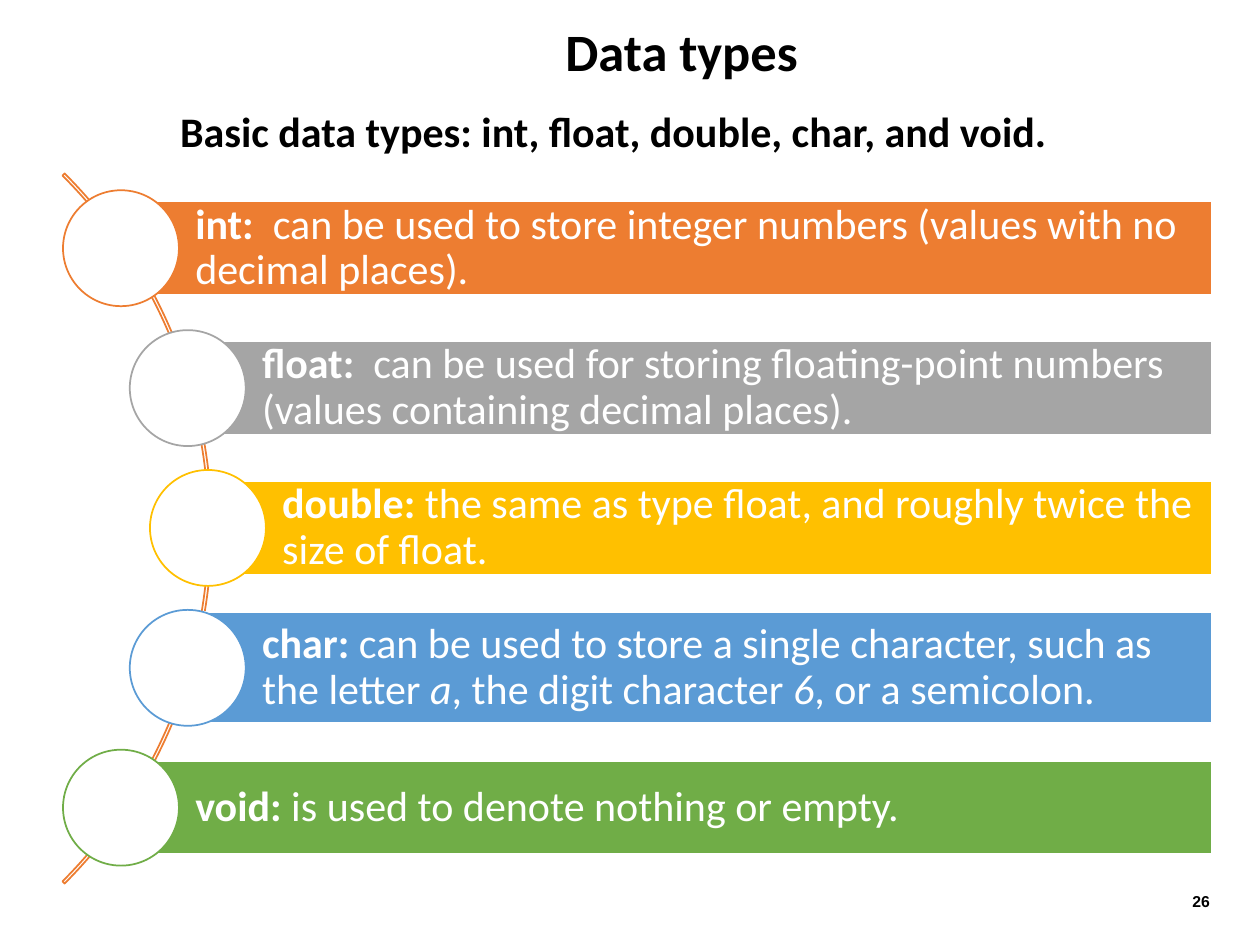
from dataclasses import dataclass

import pptx
import pptx.dml.color
import pptx.enum.shapes
import pptx.enum.text
import pptx.util

Inches = pptx.util.Inches
ALIGN = pptx.enum.text.PP_ALIGN
ANCHOR = pptx.enum.text.MSO_ANCHOR
SHAPE = pptx.enum.shapes.MSO_SHAPE

COLOURS = {
    "black": "000000",
    "white": "FFFFFF",
    "orange": "ED7D31",
    "grey": "A5A5A5",
    "yellow": "FFC000",
    "blue": "5B9BD5",
    "green": "70AD47",
}
BOLD, ITALIC = {"bold": True}, {"italic": True}

# Bars end at one edge and start at the middle of their circles
FIRST_CENTRE, ROW_STEP = 1.97, 1.11
CIRCLE_SIZE, BAR_RIGHT = 0.92, 9.62


@dataclass
class Run:
    text: str
    style: dict


@dataclass
class DataType:
    colour: str
    circle_left: float
    runs: list[Run]
    bar_height: float = 0.74


DATA_TYPES = [
    DataType("orange", 0.5, [
        Run("int:  ", BOLD),
        Run("can be used to store integer numbers (values with no decimal places).", {}),
    ]),
    DataType("grey", 1.03, [
        Run("float:  ", BOLD),
        Run("can be used for storing floating-point numbers (values containing decimal places).", {}),
    ]),
    DataType("yellow", 1.19, [
        Run("double: ", BOLD),
        Run("the same as type float, and roughly twice the size of float.", {}),
    ]),
    DataType("blue", 1.03, [
        Run("char:", BOLD),
        Run(" can be used to store a single character, such as the letter ", {}),
        Run("a", ITALIC),
        Run(", the digit character ", {}),
        Run("6", ITALIC),
        Run(", or a semicolon.", {}),
    ], bar_height=0.88),
    DataType("green", 0.5, [
        Run("void: ", BOLD),
        Run("is used to denote nothing or empty.", {}),
    ]),
]


def rgb(name: str) -> pptx.dml.color.RGBColor:
    return pptx.dml.color.RGBColor.from_string(COLOURS[name])


def write(shape, runs: list[Run], size: float, colour: str, align, anchor,
          margins=(0.1, 0.05, 0.1, 0.05), font="Calibri", line_spacing=0.9) -> None:
    """Fill a shape with one paragraph; margins are left, top, right, bottom."""
    frame = shape.text_frame
    frame_format = {"word_wrap": True, "vertical_anchor": anchor}
    for side, margin in zip(("left", "top", "right", "bottom"), margins):
        frame_format[f"margin_{side}"] = Inches(margin)
    for name, value in frame_format.items():
        setattr(frame, name, value)
    paragraph = frame.paragraphs[0]
    paragraph.alignment = align
    paragraph.line_spacing = line_spacing
    for part in runs:
        run = paragraph.add_run()
        run.text = part.text
        run_format = {"name": font, "size": pptx.util.Pt(size),
                      "bold": False, "italic": False} | part.style
        for name, value in run_format.items():
            setattr(run.font, name, value)
        run.font.color.rgb = rgb(colour)


def add_outline(slide, kind, left: float, top: float, width: float, height: float,
                line: str, fill: str | None = None):
    shape = slide.shapes.add_shape(
        kind, Inches(left), Inches(top), Inches(width), Inches(height))
    shape.shadow.inherit = False
    if fill:
        shape.fill.solid()
        shape.fill.fore_color.rgb = rgb(fill)
    else:
        shape.fill.background()
    shape.line.color.rgb = rgb(line)
    shape.line.width = pptx.util.Pt(1)
    return shape


def add_text(slide, left: float, top: float, width: float, height: float,
             text: str, size: float, align, anchor, **options) -> None:
    box = slide.shapes.add_textbox(
        Inches(left), Inches(top), Inches(width), Inches(height))
    write(box, [Run(text, BOLD)], size, "black", align, anchor, **options)


def add_data_type(slide, row: int, item: DataType) -> None:
    centre = FIRST_CENTRE + row * ROW_STEP
    bar_left = item.circle_left + CIRCLE_SIZE / 2
    bar = add_outline(slide, SHAPE.RECTANGLE, bar_left, centre - item.bar_height / 2,
                      BAR_RIGHT - bar_left, item.bar_height, "white", item.colour)
    write(bar, item.runs, 24, "white", ALIGN.LEFT, ANCHOR.MIDDLE,
          margins=(0.59, 0.07, 0.07, 0.07))
    add_outline(slide, SHAPE.OVAL, item.circle_left, centre - CIRCLE_SIZE / 2,
                CIRCLE_SIZE, CIRCLE_SIZE, item.colour, "white")


def main() -> None:
    deck = pptx.Presentation()
    deck.slide_width, deck.slide_height = Inches(10), Inches(7.5)
    slide = deck.slides.add_slide(deck.slide_layouts[6])

    # Heading, introduction and page number
    add_text(slide, 2.47, 0.15, 5.88, 0.56, "Data types", 30, ALIGN.CENTER, ANCHOR.MIDDLE)
    add_text(slide, 1.36, 0.84, 8.64, 0.4,
             "Basic data types: int, float, double, char, and void.", 24,
             ALIGN.JUSTIFY, ANCHOR.TOP, margins=(0.07, 0.04, 0.07, 0.04))
    add_text(slide, 9.31, 6.95, 0.39, 0.4, "26", 9, ALIGN.RIGHT, ANCHOR.MIDDLE,
             font="Arial", line_spacing=1.0)

    # Thin arc behind the circles, from -45 to 45 degrees
    arc = add_outline(slide, SHAPE.BLOCK_ARC, -6.29, 0.21, 7.97, 7.97, "orange")
    for index, value in enumerate((189, 27, 0.003)):
        arc.adjustments[index] = value

    # One bar and circle for each data type
    for row, item in enumerate(DATA_TYPES):
        add_data_type(slide, row, item)

    deck.save("out.pptx")


if __name__ == "__main__":
    main()
